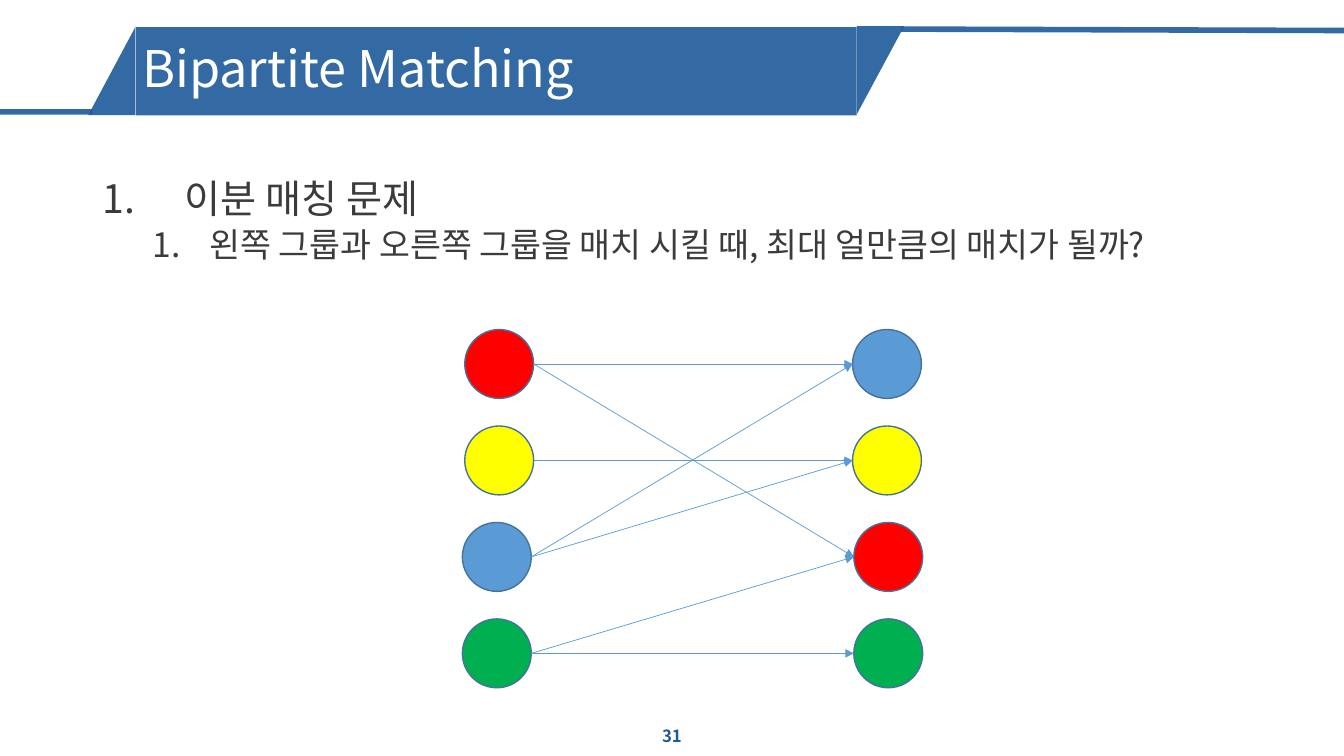
from lxml import etree
from pptx import Presentation
from pptx.dml.color import RGBColor
from pptx.enum.shapes import MSO_CONNECTOR, MSO_SHAPE
from pptx.enum.text import MSO_ANCHOR, PP_ALIGN
from pptx.oxml.ns import qn
from pptx.util import Pt

STRAIGHT = MSO_CONNECTOR.STRAIGHT
TRIANGLE, RECTANGLE, OVAL = MSO_SHAPE.RIGHT_TRIANGLE, MSO_SHAPE.RECTANGLE, MSO_SHAPE.OVAL
MIDDLE, TOP = MSO_ANCHOR.MIDDLE, MSO_ANCHOR.TOP
LEFT, CENTER = PP_ALIGN.LEFT, PP_ALIGN.CENTER
FONT = "Noto Sans CJK KR"
NAVY, RED, YELLOW, BLUE, GREEN = "1E5A9B", "FF0000", "FFFF00", "5B9BD5", "00B050"
OUTLINE, DARK, WHITE = "43739E", "3B3B3B", "FFFFFF"


def paint(fill, color, opacity=100):
    fill.solid()
    fill.fore_color.rgb = RGBColor.from_string(color)
    if opacity < 100:
        color_element = fill._xPr.find(qn("a:solidFill"))[0]
        etree.SubElement(color_element, qn("a:alpha"), val=str(opacity * 1000))


def add_line(start, end, color, width, opacity=100):
    line = slide.shapes.add_connector(STRAIGHT, *(Pt(value) for value in start + end))
    line.line.width = Pt(width)
    paint(line.line.fill, color, opacity)
    etree.SubElement(line._element.spPr, qn("a:effectLst"))
    return line


presentation = Presentation()
presentation.slide_width, presentation.slide_height = Pt(960), Pt(540)
slide = presentation.slides.add_slide(presentation.slide_layouts[6])

# Title banner with its two rules
add_line((66, 79.9), (-2, 79.9), NAVY, 4, 90)
add_line((960, 21.8), (643.7, 20.8), NAVY, 4, 90)
for kind, box, rotation in [
    (TRIANGLE, (597.6, 33.1, 62.8, 33.8), 90),
    (TRIANGLE, (48.3, 33.8, 63.2, 33.8), 270),
    (RECTANGLE, (97, 19.4, 515, 63), 0),
]:
    banner = slide.shapes.add_shape(kind, *(Pt(value) for value in box))
    banner.rotation = rotation
    banner.shadow.inherit = False
    banner.line.fill.background()
    paint(banner.fill, NAVY, 90)

# Texts: box, anchor, alignment, color, bold, then paragraphs of
# (text, size, space before, left margin, hanging indent)
texts = [
    ((372, 511.2, 216, 28.8), MIDDLE, CENTER, NAVY, True, [("31", 12, 0, 0, 0)]),
    ((94.4, 21.6, 514.8, 58.3), MIDDLE, LEFT, WHITE, False,
     [("Bipartite Matching", 36, 10, 0, 0)]),
    ((66.2, 124.6, 823.7, 357.8), TOP, LEFT, DARK, False,
     [("이분 매칭 문제", 28, 10, 58.5, 58.5),
      ("왼쪽 그룹과 오른쪽 그룹을 매치 시킬 때, 최대 얼만큼의 매치가 될까?",
       24, 5, 76.5, 40.5)]),
]
for box, anchor, alignment, color, bold, lines in texts:
    frame = slide.shapes.add_textbox(*(Pt(value) for value in box)).text_frame
    frame.word_wrap = True
    frame.vertical_anchor = anchor
    for index, (text, size, space, margin, hanging) in enumerate(lines):
        paragraph = frame.add_paragraph() if index else frame.paragraphs[0]
        paragraph.alignment = alignment
        paragraph.level = index
        paragraph.space_before = Pt(space)
        if space:
            paragraph.line_spacing = 0.9
        if hanging:
            properties = paragraph._p.get_or_add_pPr()
            properties.set("marL", str(Pt(margin)))
            properties.set("indent", str(-Pt(hanging)))
            etree.SubElement(properties, qn("a:buFont"), typeface=FONT)
            etree.SubElement(properties, qn("a:buAutoNum"), type="arabicPeriod")
        run = paragraph.add_run()
        run.text = text
        run.font.name = FONT
        run.font.size = Pt(size)
        run.font.bold = bold
        paint(run.font.fill, color)
        etree.SubElement(run._r.get_or_add_rPr(), qn("a:ea"), typeface=FONT)

# Two groups of nodes
DIAMETER, FIRST_TOP, ROW_STEP = 49.2, 235.4, 68.9
left_nodes = [(332, RED), (332, YELLOW), (330.3, BLUE), (330.3, GREEN)]
right_nodes = [(609, BLUE), (609, YELLOW), (609.9, RED), (609.9, GREEN)]
for nodes in (left_nodes, right_nodes):
    for row, (x, color) in enumerate(nodes):
        node = slide.shapes.add_shape(
            OVAL, Pt(x), Pt(FIRST_TOP + row * ROW_STEP), Pt(DIAMETER), Pt(DIAMETER))
        node.shadow.inherit = False
        paint(node.fill, color)
        node.line.width = Pt(1)
        paint(node.line.fill, OUTLINE)

# Possible matches, as (left row, right row)
first_middle = FIRST_TOP + DIAMETER / 2
for left_row, right_row in [(0, 0), (0, 2), (1, 1), (3, 3), (3, 2), (2, 1), (2, 0)]:
    start = (left_nodes[left_row][0] + DIAMETER, first_middle + left_row * ROW_STEP)
    end = (right_nodes[right_row][0], first_middle + right_row * ROW_STEP)
    arrow = add_line(start, end, BLUE, 0.5)
    etree.SubElement(arrow.line._get_or_add_ln(), qn("a:tailEnd"), type="triangle")

presentation.save("out.pptx")
